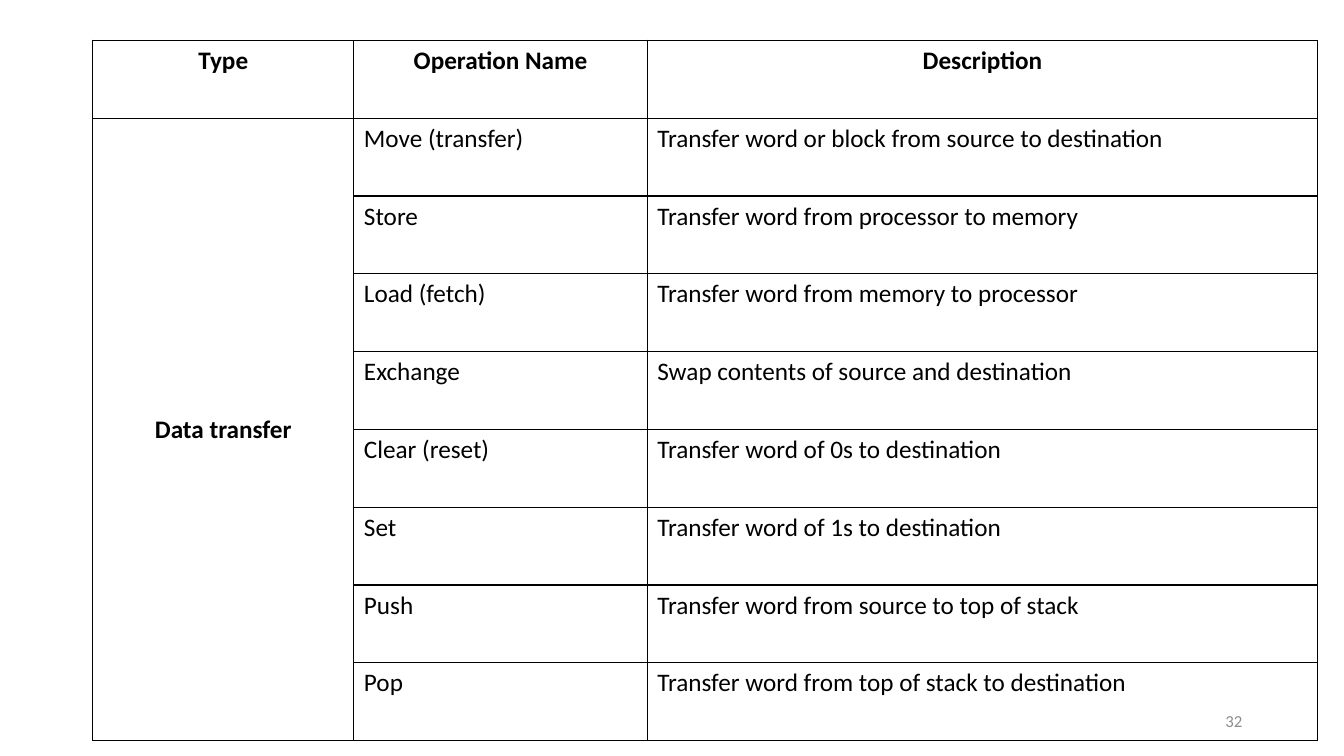
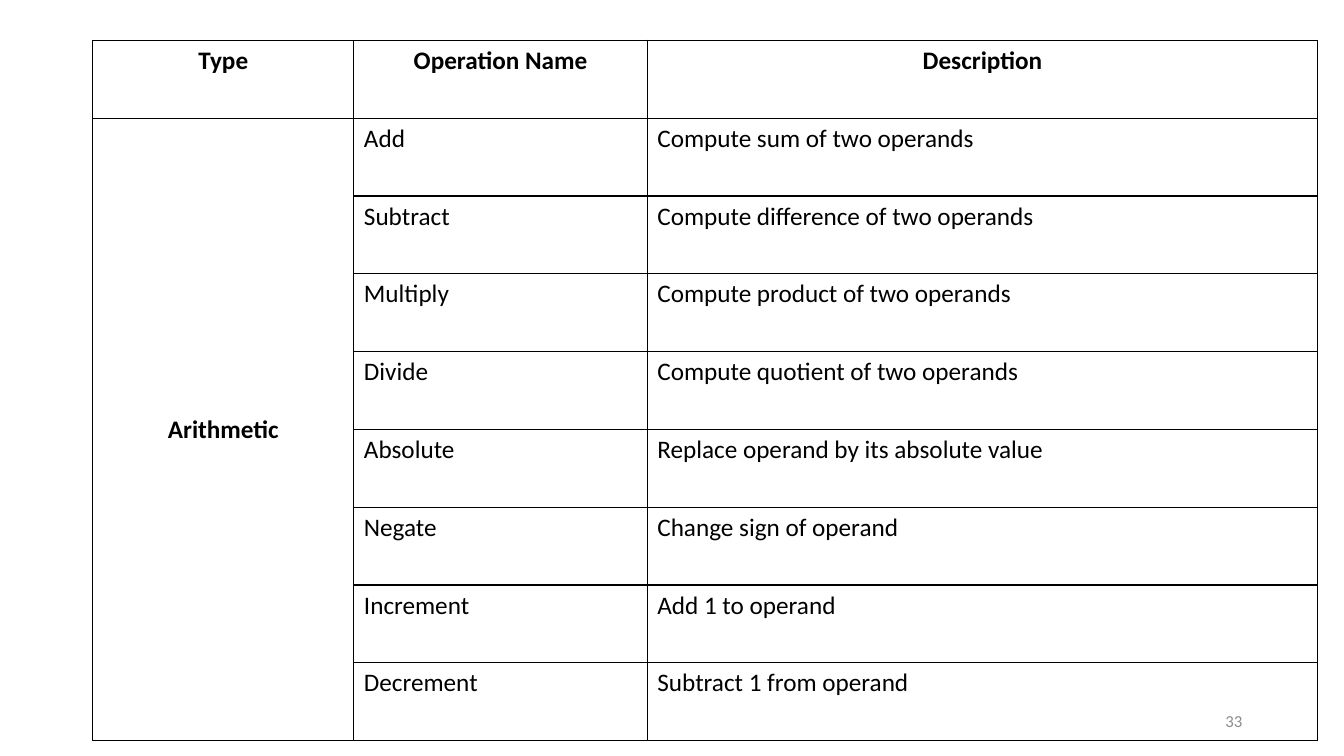
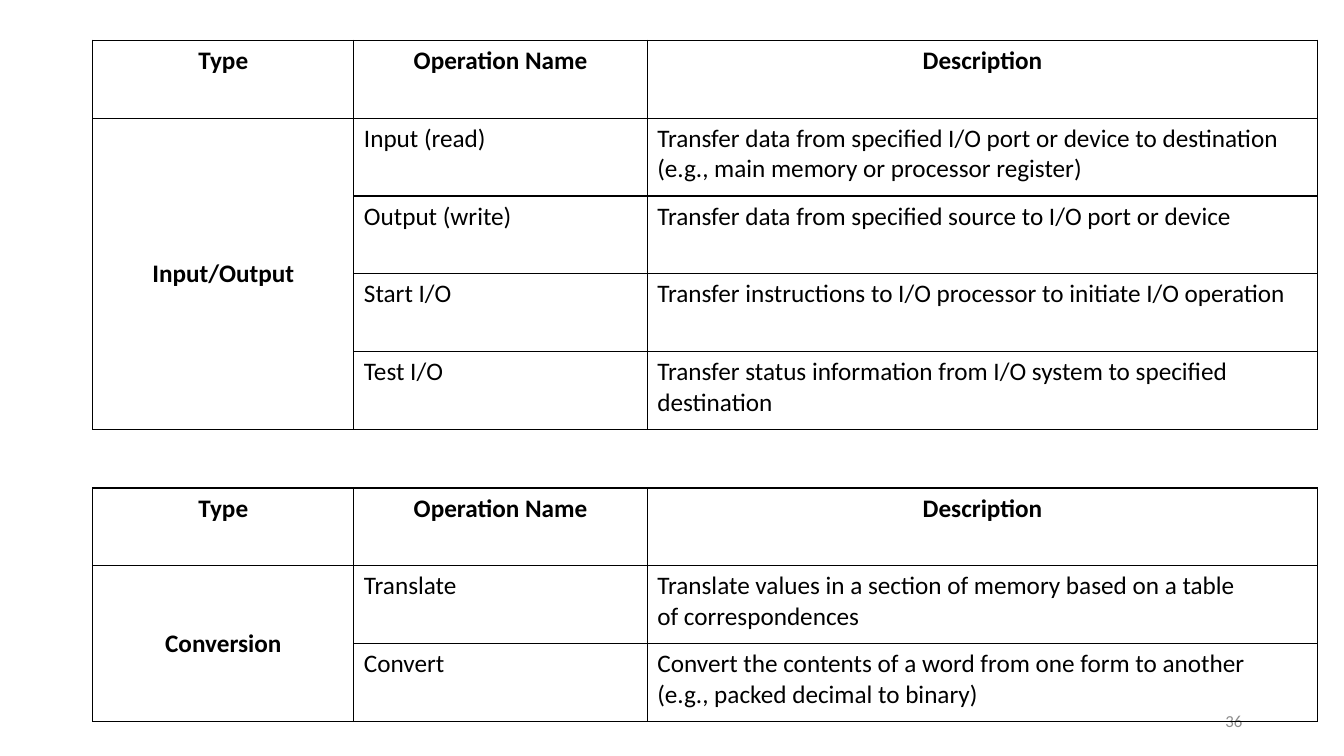
"""Build three slides of instruction set operation tables."""
from lxml.etree import SubElement
from pptx import Presentation
from pptx.dml.color import RGBColor
from pptx.enum.text import MSO_ANCHOR, PP_ALIGN
from pptx.oxml.ns import qn
from pptx.util import Inches, Pt

THEME = {
    "cell": {"name": "Calibri", "size": Pt(18), "color": "000000"},
    "number": {"name": "Calibri", "size": Pt(12), "color": "8C8C8C"},
    "border": {"color": "000000", "width": Pt(1)},
}
LEFT, TOP, GAP = Inches(0.92), Inches(0.4), Inches(0.58)
COLS = [Inches(w) for w in (2.59, 2.91, 6.65)]
ROW_H = Inches(6.95 / 9)
HEADER = ("Type", "Operation Name", "Description")

SLIDES = [
    (32, [("Data transfer", [
        ("Move (transfer)", "Transfer word or block from source to destination"),
        ("Store", "Transfer word from processor to memory"),
        ("Load (fetch)", "Transfer word from memory to processor"),
        ("Exchange", "Swap contents of source and destination"),
        ("Clear (reset)", "Transfer word of 0s to destination"),
        ("Set", "Transfer word of 1s to destination"),
        ("Push", "Transfer word from source to top of stack"),
        ("Pop", "Transfer word from top of stack to destination"),
    ])]),
    (33, [("Arithmetic", [
        ("Add", "Compute sum of two operands"),
        ("Subtract", "Compute difference of two operands"),
        ("Multiply", "Compute product of two operands"),
        ("Divide", "Compute quotient of two operands"),
        ("Absolute", "Replace operand by its absolute value"),
        ("Negate", "Change sign of operand"),
        ("Increment", "Add 1 to operand"),
        ("Decrement", "Subtract 1 from operand"),
    ])]),
    (36, [
        ("Input/Output", [
            ("Input (read)", "Transfer data from specified I/O port or device to destination\n"
                             "(e.g., main memory or processor register)"),
            ("Output (write)", "Transfer data from specified source to I/O port or device"),
            ("Start I/O", "Transfer instructions to I/O processor to initiate I/O operation"),
            ("Test I/O", "Transfer status information from I/O system to specified\ndestination"),
        ]),
        ("Conversion", [
            ("Translate", "Translate values in a section of memory based on a table\n"
                          "of correspondences"),
            ("Convert", "Convert the contents of a word from one form to another\n"
                        "(e.g., packed decimal to binary)"),
        ]),
    ]),
]


def write(tf, text, style, align, bold=False):
    tf.text = text
    for p in tf.paragraphs:
        p.alignment = align
        for r in p.runs:
            for key, value in {**THEME[style], "bold": bold}.items():
                if key == "color":
                    r.font.color.rgb = RGBColor.from_string(value)
                else:
                    setattr(r.font, key, value)


def outline(cell):
    tc_pr = cell._tc.get_or_add_tcPr()
    for side in ("lnL", "lnR", "lnT", "lnB"):
        ln = SubElement(tc_pr, qn(f"a:{side}"), w=str(THEME["border"]["width"]))
        fill = SubElement(ln, qn("a:solidFill"))
        SubElement(fill, qn("a:srgbClr"), val=THEME["border"]["color"])
    cell.fill.background()


prs = Presentation()
prs.slide_width, prs.slide_height = Inches(13.33), Inches(7.5)

for number, groups in SLIDES:
    s = prs.slides.add_slide(prs.slide_layouts[6])
    tf = s.shapes.add_textbox(Inches(9.42), Inches(6.95), Inches(3), Inches(0.4)).text_frame
    tf.word_wrap = True
    tf.vertical_anchor = MSO_ANCHOR.MIDDLE
    write(tf, str(number), "number", PP_ALIGN.RIGHT)

    top = TOP
    for kind, operations in groups:
        rows = [HEADER] + [("", *operation) for operation in operations]
        height = ROW_H * len(rows)
        table = s.shapes.add_table(len(rows), len(COLS), LEFT, top, sum(COLS), height).table
        table.first_row = table.horz_banding = False
        for column, width in zip(table.columns, COLS):
            column.width = width
        for i, row in enumerate(rows):
            table.rows[i].height = ROW_H
            for j, text in enumerate(row):
                cell = table.cell(i, j)
                outline(cell)
                if text:
                    align = PP_ALIGN.LEFT if i else PP_ALIGN.CENTER
                    write(cell.text_frame, text, "cell", align, bold=i == 0)
        kind_cell = table.cell(1, 0)
        kind_cell.merge(table.cell(len(operations), 0))
        kind_cell.vertical_anchor = MSO_ANCHOR.MIDDLE
        write(kind_cell.text_frame, kind, "cell", PP_ALIGN.CENTER, bold=True)
        top += height + GAP

prs.save("out.pptx")
